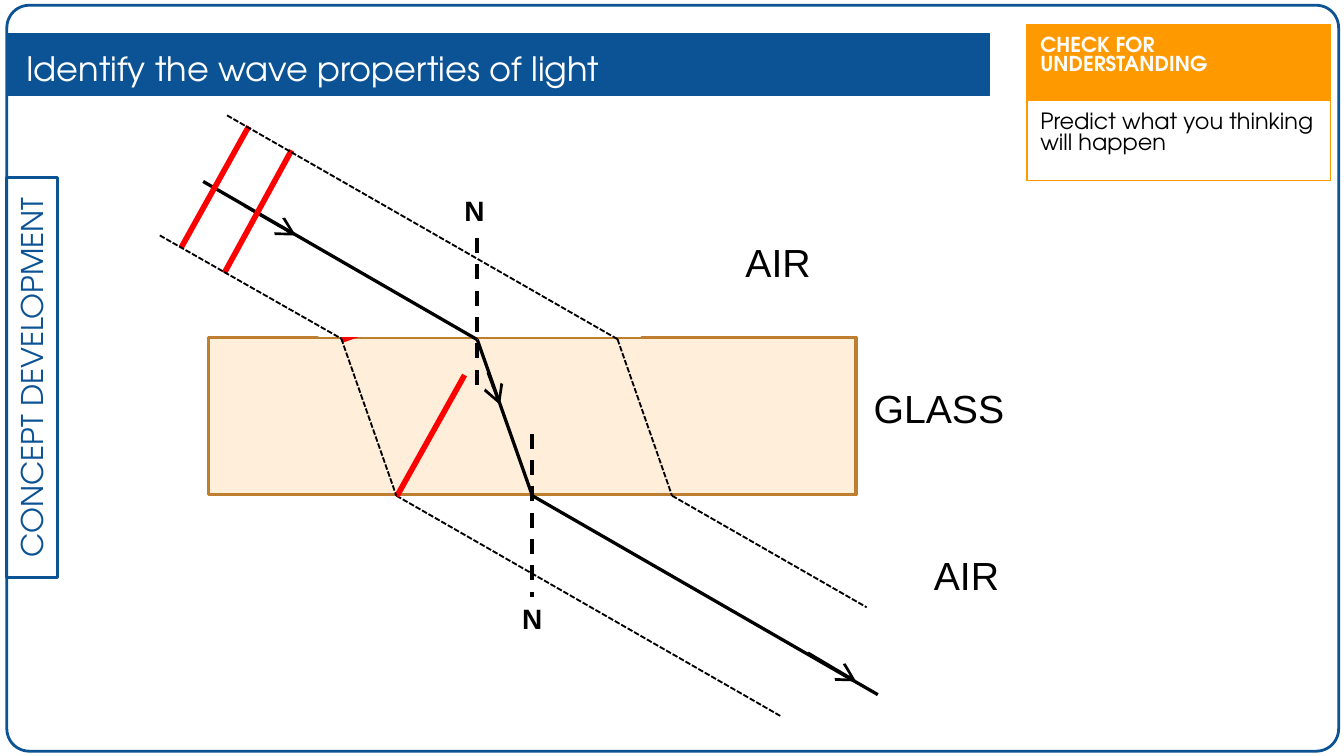
import pptx
import pptx.util
import pptx.dml.color
import pptx.enum.dml
import pptx.enum.shapes
import pptx.enum.text
import pptx.oxml
import pptx.oxml.ns

Cm = pptx.util.Cm
Pt = pptx.util.Pt
SHAPE = pptx.enum.shapes.MSO_SHAPE
DASH = pptx.enum.dml.MSO_LINE
ALIGN = pptx.enum.text.PP_ALIGN
ANCHOR = pptx.enum.text.MSO_ANCHOR

BLUE, ORANGE, RED, BLACK, WHITE = "0B5394", "FF9900", "FF0000", "000000", "FFFFFF"
ADVENTOR = "TeX Gyre Adventor"


def rgb(value):
    return pptx.dml.color.RGBColor.from_string(value)


def add_xml(parent, tag, body="", attrs=""):
    ns = pptx.oxml.ns.nsdecls("a")
    parent.append(pptx.oxml.parse_xml(f"<a:{tag} {ns} {attrs}>{body}</a:{tag}>"))


prs = pptx.Presentation()
prs.slide_width = Cm(25.4)
prs.slide_height = Cm(14.29)
s = prs.slides.add_slide(prs.slide_layouts[6])

entry, exit_point = (9.02, 6.42), (10.06, 9.37)
left_entry, left_exit = (6.45, 6.4), (7.49, 9.37)
right_entry, right_exit = (11.67, 6.41), (12.7, 9.37)

base_boxes = [
    (SHAPE.ROUNDED_RECTANGLE, 0.13, 0.1, 25.17, 14.1, None, BLUE, 1.5),
    (SHAPE.RECTANGLE, 0.13, 0.64, 18.57, 1.17, BLUE, BLUE, 0.75),
    (SHAPE.RECTANGLE, 3.94, 6.38, 12.24, 2.97, "FFEED9", "BD7F2F", 2),
]
base_lines = [((11.13, 4.8), (6.45, 6.43), RED, 3, None, False)]
air_boxes = [
    (SHAPE.RECTANGLE, 6.02, 3.53, 6.1, 2.84, WHITE, None, 0),
    (SHAPE.RECTANGLE, 6.58, 9.4, 7.09, 1.96, WHITE, None, 0),
]
ray_lines = [
    (entry, exit_point, BLACK, 1.75, None, False),
    ((9.22, 7.04), (9.45, 7.65), BLACK, 1.5, None, True),
    ((3.84, 3.43), entry, BLACK, 1.75, None, False),
    ((4.62, 3.89), (5.59, 4.45), BLACK, 1.5, None, True),
    ((4.7, 2.39), (3.43, 4.67), RED, 3, None, False),
    ((5.51, 2.84), (4.24, 5.16), RED, 3, None, False),
    ((4.29, 2.18), right_entry, BLACK, 1, DASH.SQUARE_DOT, False),
    ((3.02, 4.45), left_entry, BLACK, 1, DASH.SQUARE_DOT, False),
    ((9.02, 4.5), (9.02, 7.34), BLACK, 2, DASH.DASH, False),
    (left_exit, (14.76, 13.54), BLACK, 1, DASH.SQUARE_DOT, False),
    (right_exit, (16.38, 11.48), BLACK, 1, DASH.SQUARE_DOT, False),
    ((10.06, 8.2), (10.06, 11.28), BLACK, 2, DASH.DASH, False),
    (exit_point, (16.59, 13.13), BLACK, 1.75, None, False),
    ((8.78, 7.09), (7.5, 9.38), RED, 3, None, False),
    (right_entry, right_exit, BLACK, 1, DASH.SQUARE_DOT, False),
    (left_entry, left_exit, BLACK, 1, DASH.SQUARE_DOT, False),
    ((15.27, 12.34), (16.18, 12.88), BLACK, 1.5, None, True),
]

for boxes, lines in [(base_boxes, base_lines), (air_boxes, ray_lines)]:
    for kind, x, y, w, h, fill, border, width in boxes:
        sp = s.shapes.add_shape(kind, Cm(x), Cm(y), Cm(w), Cm(h))
        sp.shadow.inherit = False
        if kind == SHAPE.ROUNDED_RECTANGLE:
            sp.adjustments[0] = 0.03
        if fill:
            sp.fill.solid()
            sp.fill.fore_color.rgb = rgb(fill)
        else:
            sp.fill.background()
        if border:
            sp.line.color.rgb = rgb(border)
            sp.line.width = Pt(width)
        else:
            sp.line.fill.background()

    for start, end, color, width, dash, arrow in lines:
        sp = s.shapes.add_connector(
            pptx.enum.shapes.MSO_CONNECTOR.STRAIGHT,
            Cm(start[0]), Cm(start[1]), Cm(end[0]), Cm(end[1]))
        sp.line.color.rgb = rgb(color)
        sp.line.width = Pt(width)
        if dash:
            sp.line.dash_style = dash
        if arrow:
            add_xml(sp.line._get_or_add_ln(), "tailEnd", attrs='type="arrow" w="lg" len="lg"')
        add_xml(sp._element.spPr, "effectLst")

labels = [
    (-3.18, 6.65, 7.57, 0.97, "CONCEPT DEVELOPMENT", 16, ADVENTOR, BLUE, False, ALIGN.CENTER, ANCHOR.MIDDLE, 270),
    (0.25, 0.74, 18.31, 0.97, "Identify the wave properties of light", 18, ADVENTOR, WHITE, False, ALIGN.LEFT, ANCHOR.MIDDLE, 0),
    (8.41, 3.53, 1.12, 0.89, "N", 15, "Arial", BLACK, True, ALIGN.CENTER, ANCHOR.TOP, 0),
    (9.5, 11.25, 1.12, 0.89, "N", 15, "Arial", BLACK, True, ALIGN.CENTER, ANCHOR.TOP, 0),
    (13.84, 4.37, 2.24, 1.14, "AIR", 21, "Arial", BLACK, False, ALIGN.LEFT, ANCHOR.TOP, 0),
    (17.4, 10.29, 2.26, 1.14, "AIR", 21, "Arial", BLACK, False, ALIGN.LEFT, ANCHOR.TOP, 0),
    (16.26, 7.14, 3.4, 1.14, "GLASS", 21, "Arial", BLACK, False, ALIGN.LEFT, ANCHOR.TOP, 0),
]
for x, y, w, h, text, size, font, color, bold, align, anchor, rotation in labels:
    sp = s.shapes.add_textbox(Cm(x), Cm(y), Cm(w), Cm(h))
    sp.rotation = rotation
    if rotation:
        sp.line.color.rgb = rgb(color)
        sp.line.width = Pt(1.5)
    tf = sp.text_frame
    tf.text = text
    tf.word_wrap = True
    tf.vertical_anchor = anchor
    p = tf.paragraphs[0]
    p.alignment = align
    if font == ADVENTOR:
        tf.margin_top = tf.margin_bottom = Cm(0.25)
        p.line_spacing = 1.0 if rotation else 1.15
    r = p.runs[0]
    r.font.name = font
    r.font.size = Pt(size)
    r.font.bold = bold
    r.font.color.rgb = rgb(color)

table = s.shapes.add_table(2, 1, Cm(19.41), Cm(0.46), Cm(5.74), Cm(2.51)).table
rows = [
    (1.21, "CHECK FOR UNDERSTANDING", 11, WHITE, True, ORANGE),
    (1.3, "Predict what you thinking will happen", 12, BLACK, False, None),
]
for i, (height, text, size, color, bold, fill) in enumerate(rows):
    table.rows[i].height = Cm(height)
    cell = table.cell(i, 0)
    cell.margin_left = cell.margin_right = cell.margin_top = cell.margin_bottom = Cm(0.25)
    cell.text_frame.text = text
    r = cell.text_frame.paragraphs[0].runs[0]
    r.font.name = ADVENTOR
    r.font.size = Pt(size)
    r.font.bold = bold
    r.font.color.rgb = rgb(color)
    for side in ("lnL", "lnR", "lnT", "lnB"):
        add_xml(cell._tc.get_or_add_tcPr(), side,
                f'<a:solidFill><a:srgbClr val="{ORANGE}"/></a:solidFill>', 'w="9525"')
    if fill:
        cell.fill.solid()
        cell.fill.fore_color.rgb = rgb(fill)
    else:
        cell.fill.background()

prs.save("out.pptx")
